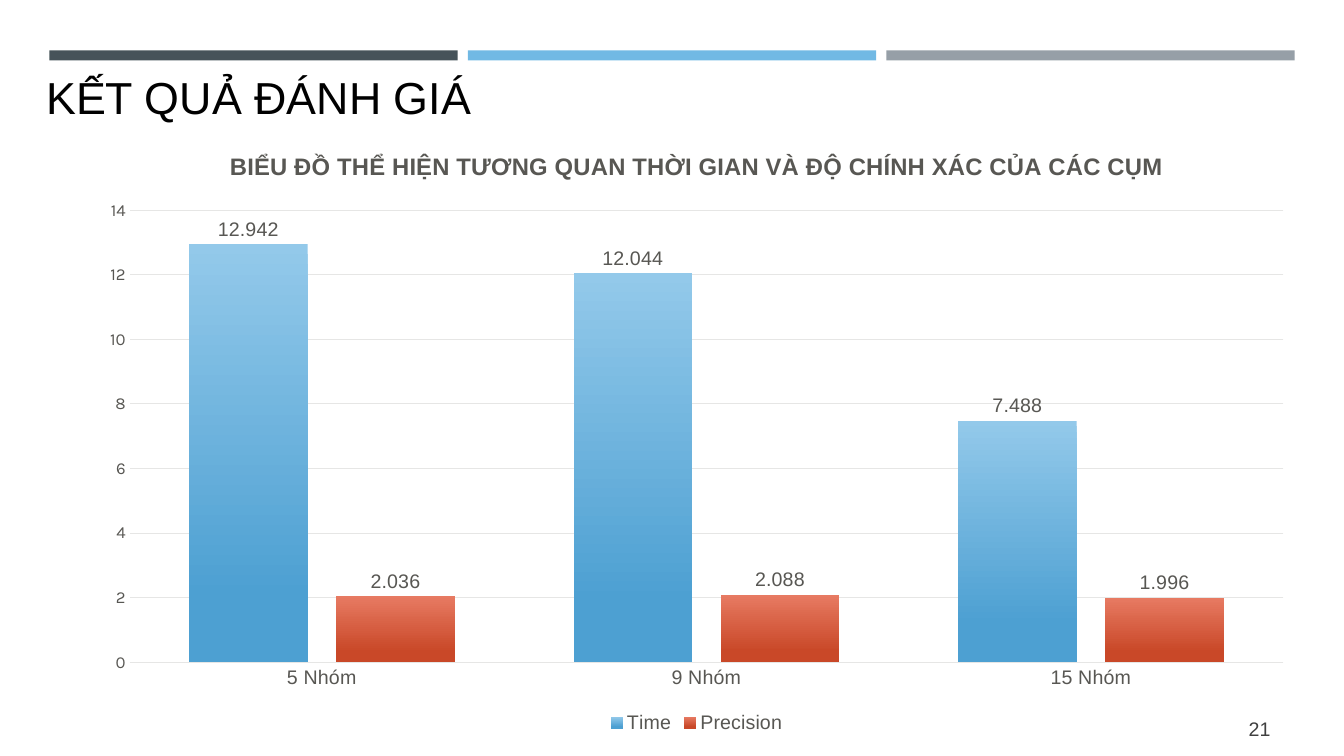
from pptx import Presentation
from pptx.chart.data import CategoryChartData
from pptx.dml.color import RGBColor
from pptx.enum.chart import XL_CHART_TYPE as ChartType
from pptx.enum.chart import XL_LABEL_POSITION as LabelPosition
from pptx.enum.chart import XL_LEGEND_POSITION as LegendPosition
from pptx.enum.chart import XL_TICK_MARK as TickMark
from pptx.enum.shapes import MSO_SHAPE as Shape
from pptx.enum.text import MSO_ANCHOR as Anchor
from pptx.enum.text import PP_ALIGN as Align
from pptx.util import Inches, Pt

BODY_FONT = "Arial"
AXIS_FONT = "Karla"
CHART_TEXT = "585753"
GRID = "E6E6E5"
BAR_COLORS = ["465359", "71B9E4", "969FA7"]
CATEGORIES = ["5 Nhóm", "9 Nhóm", "15 Nhóm"]
SERIES = [
    ("Time", [12.942, 12.044, 7.488], ("93C9EA", "4DA0D2")),
    ("Precision", [2.036, 2.088, 1.996], ("E77A62", "C94828")),
]


def color(value):
    return RGBColor.from_string(value)


def style_font(font, size, value, name=BODY_FONT, bold=False):
    font.size = Pt(size)
    font.color.rgb = color(value)
    font.name = name
    font.bold = bold


def style_line(line, value):
    line.color.rgb = color(value)
    line.width = Pt(0.75)


def add_header_bars(slide, left, top, width, height, gap=0.1):
    bar_width = (width - gap * (len(BAR_COLORS) - 1)) / len(BAR_COLORS)
    for index, value in enumerate(BAR_COLORS):
        bar = slide.shapes.add_shape(
            Shape.RECTANGLE, Inches(left + index * (bar_width + gap)),
            Inches(top), Inches(bar_width), Inches(height))
        bar.shadow.inherit = False
        bar.fill.solid()
        bar.fill.fore_color.rgb = color(value)
        bar.line.fill.background()


def add_text(slide, box, text, size, value, align=Align.LEFT, anchor=Anchor.TOP):
    text_frame = slide.shapes.add_textbox(*map(Inches, box)).text_frame
    text_frame.word_wrap = True
    text_frame.vertical_anchor = anchor
    text_frame.text = text
    paragraph = text_frame.paragraphs[0]
    paragraph.alignment = align
    style_font(paragraph.runs[0].font, size, value)


def style_series(series, gradient):
    fill = series.format.fill
    fill.gradient()
    fill.gradient_angle = 270
    for stop, position, value in zip(fill.gradient_stops, (0, 0.84), gradient):
        stop.position = position
        stop.color.rgb = color(value)
    series.invert_if_negative = False
    labels = series.data_labels
    labels.show_value = True
    labels.position = LabelPosition.OUTSIDE_END
    style_font(labels.font, 14, CHART_TEXT)


def style_axes(chart):
    for axis, size, name in ((chart.category_axis, 14, BODY_FONT),
                             (chart.value_axis, 12, AXIS_FONT)):
        axis.major_tick_mark = TickMark.NONE
        axis.minor_tick_mark = TickMark.NONE
        style_font(axis.tick_labels.font, size, CHART_TEXT, name)
    style_line(chart.category_axis.format.line, GRID)
    value_axis = chart.value_axis
    value_axis.format.line.fill.background()
    value_axis.minimum_scale = 0
    value_axis.maximum_scale = 14
    value_axis.major_unit = 2
    style_line(value_axis.major_gridlines.format.line, GRID)


def add_cluster_chart(slide, box):
    data = CategoryChartData()
    data.categories = CATEGORIES
    for name, values, _ in SERIES:
        data.add_series(name, values)
    chart = slide.shapes.add_chart(
        ChartType.COLUMN_CLUSTERED, *map(Inches, box), data).chart
    style_font(chart.font, 10, "000000", AXIS_FONT)

    title_frame = chart.chart_title.text_frame
    title_frame.text = "BIỂU ĐỒ THỂ HIỆN TƯƠNG QUAN THỜI GIAN VÀ ĐỘ CHÍNH XÁC CỦA CÁC CỤM"
    style_font(title_frame.paragraphs[0].runs[0].font, 17, CHART_TEXT, bold=True)
    chart.chart_title.include_in_layout = False

    chart.has_legend = True
    chart.legend.position = LegendPosition.BOTTOM
    chart.legend.include_in_layout = False
    style_font(chart.legend.font, 14, CHART_TEXT)

    style_axes(chart)
    plot = chart.plots[0]
    plot.vary_by_categories = False
    plot.gap_width = 100
    plot.overlap = -24
    for series, (_, _, gradient) in zip(plot.series, SERIES):
        style_series(series, gradient)


def build_results_slide(presentation):
    slide = presentation.slides.add_slide(presentation.slide_layouts[6])
    add_header_bars(slide, 0.49, 0.5, 12.35, 0.1)
    add_text(slide, (11.55, 7.03, 1.15, 0.4), "21", 14, "404040",
             Align.RIGHT, Anchor.MIDDLE)
    add_cluster_chart(slide, (0.85, 1.28, 12.12, 6.04))
    add_text(slide, (0.36, 0.64, 10.64, 0.64), "KẾT QUẢ ĐÁNH GIÁ", 32, "000000")


def main():
    presentation = Presentation()
    presentation.slide_width = Inches(13.33)
    presentation.slide_height = Inches(7.5)
    build_results_slide(presentation)
    presentation.save("out.pptx")


if __name__ == "__main__":
    main()
